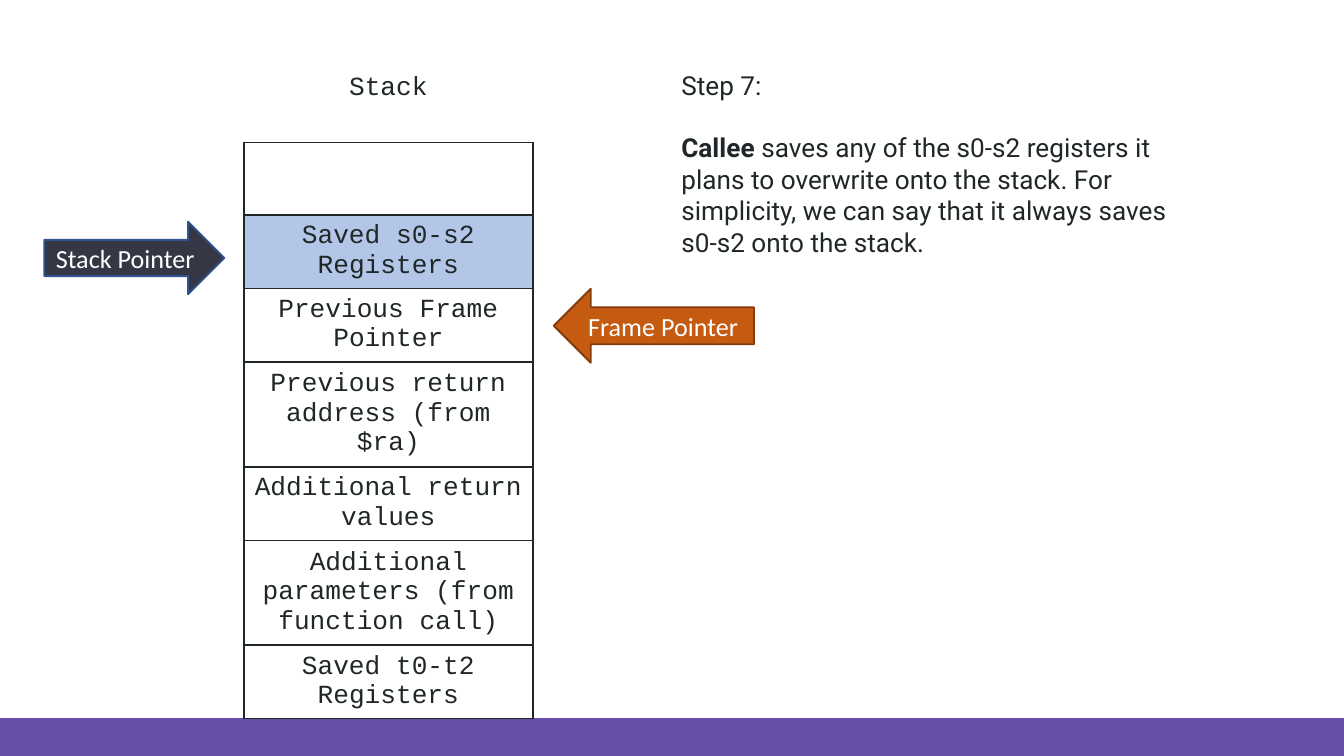
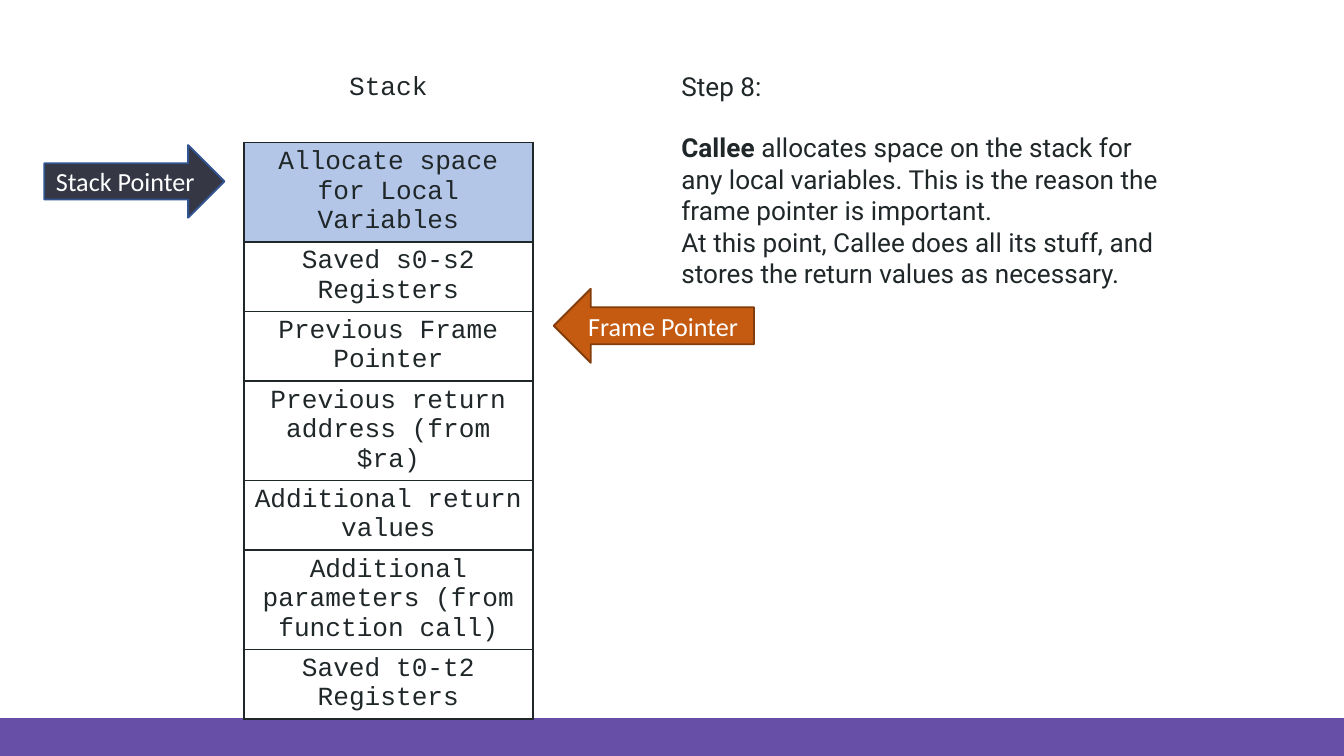
from lxml import etree
from pptx import Presentation
from pptx.dml.color import RGBColor
from pptx.enum.shapes import MSO_SHAPE
from pptx.enum.text import MSO_ANCHOR, PP_ALIGN
from pptx.oxml.ns import qn
from pptx.util import Inches, Pt

RECT, RIGHT, LEFT = MSO_SHAPE.RECTANGLE, MSO_SHAPE.RIGHT_ARROW, MSO_SHAPE.LEFT_ARROW
TOP, MID = MSO_ANCHOR.TOP, MSO_ANCHOR.MIDDLE
START, CENTER = PP_ALIGN.LEFT, PP_ALIGN.CENTER

INK = RGBColor(0x20, 0x27, 0x29)
WHITE = RGBColor(0xFF, 0xFF, 0xFF)
PURPLE = RGBColor(0x67, 0x4E, 0xA7)
BLUE = RGBColor(0xB3, 0xC6, 0xE7)
SLATE = RGBColor(0x35, 0x37, 0x44)
NAVY = RGBColor(0x31, 0x53, 0x8F)
ORANGE = RGBColor(0xC5, 0x5A, 0x11)
RUST = RGBColor(0x83, 0x3C, 0x0B)

MONO, BODY, LABEL = "Courier New", "Roboto", "Calibri"

# Grid of 100 columns by 100 rows over a 16:9 slide
WIDE = Inches(10)
HIGH = WIDE * 9 // 16
COL, ROW = WIDE / 100, HIGH / 100

HEAD = 10.31   # rows from the stack label down to the table
STEP = 10.13   # rows the stack pointer moves per entry

FRAME = [
    "Saved s0-s2 Registers",
    "Previous Frame Pointer",
    "Previous return address (from $ra)",
    "Additional return values",
    "Additional parameters (from function call)",
    "Saved t0-t2 Registers",
]

# tall is a table row's height in grid rows, inset its top and bottom margin;
# the fuller stack is set tighter so that it ends above the footer band
STEPS = [
    dict(title="Step 7:", cells=[""] + FRAME, mark=1, tall=9.6, inset=0.04,
         rows=26.5, notes=[
        [("Callee ", True),
         ("saves any of the s0-s2 registers it plans to overwrite onto the "
          "stack. For simplicity, we can say that it always saves s0-s2 onto "
          "the stack.", False)]]),
    dict(title="Step 8:", cells=["Allocate space for Local Variables"] + FRAME,
         mark=0, tall=9.2, inset=0.02, rows=30.8, notes=[
        [("Callee ", True),
         ("allocates space on the stack for any local variables. This is the "
          "reason the frame pointer is important.", False)],
        [("At this point, Callee does all its stuff, and stores the return "
          "values as necessary.", False)]]),
]


def place(x, y, w, h):
    """Turn grid columns and rows into slide lengths."""
    return [round(n) for n in (x * COL, y * ROW, w * COL, h * ROW)]


def seat(host, anchor=TOP, side=0.07, inset=0.04):
    """Set the anchor and margins of a text frame or a table cell."""
    host.vertical_anchor = anchor
    host.margin_left = host.margin_right = Inches(side)
    host.margin_top = host.margin_bottom = Inches(inset)


def write(frame, paras, font=BODY, color=INK, align=START, gap=0):
    """Fill a text frame; gap is the space after the first paragraph."""
    frame.word_wrap = True
    for i, runs in enumerate(paras):
        para = frame.paragraphs[0] if i == 0 else frame.add_paragraph()
        para.alignment = align
        if i == 1 and gap:
            para.space_before = Pt(gap)
        for text, bold in runs:
            run = para.add_run()
            run.text = text
            run.font.name, run.font.size = font, Pt(14)
            run.font.bold, run.font.color.rgb = bold, color


def shape(slide, kind, box, fill, line=None):
    part = slide.shapes.add_shape(kind, *place(*box))
    part.shadow.inherit = False
    part.fill.solid()
    part.fill.fore_color.rgb = fill
    if line is None:
        part.line.fill.background()
    else:
        part.line.color.rgb = line
        part.line.width = Pt(1)
    return part


def edge(cell):
    """Draw a thin ink border on all four sides of a cell."""
    props = cell._tc.get_or_add_tcPr()
    for i, side in enumerate(("a:lnL", "a:lnR", "a:lnT", "a:lnB")):
        line = etree.Element(qn(side), w=str(Pt(1)))
        fill = etree.SubElement(line, qn("a:solidFill"))
        etree.SubElement(fill, qn("a:srgbClr"), val=str(INK))
        props.insert(i, line)


def stack(slide, box, cells, mark, inset):
    x, y, w, h = box
    # Label above the table, two columns in from each side
    label = slide.shapes.add_textbox(*place(x + 2, y, w - 4, 5.5))
    seat(label.text_frame)
    write(label.text_frame, [[("Stack", False)]], font=MONO, align=CENTER)
    # One table row per stack entry
    grid = slide.shapes.add_table(len(cells), 1, *place(x, y + HEAD, w, h - HEAD)).table
    grid.first_row = grid.horz_banding = False
    for i, text in enumerate(cells):
        cell = grid.cell(i, 0)
        edge(cell)
        seat(cell, MID, 0.08, inset)
        if i == mark:
            cell.fill.solid()
            cell.fill.fore_color.rgb = BLUE
        else:
            cell.fill.background()
        if text:
            write(cell.text_frame, [[(text, False)]], font=MONO, align=CENTER)


def arrow(slide, box, kind, text, fill, line):
    part = shape(slide, kind, box, fill, line)
    seat(part.text_frame, MID)
    write(part.text_frame, [[(text, False)]], font=LABEL, color=WHITE, align=CENTER)


def story(slide, box, title, notes):
    area = slide.shapes.add_textbox(*place(*box))
    seat(area.text_frame)
    write(area.text_frame, [[(title, False)]] + notes, gap=16.4)


def page(deck, title, cells, mark, tall, inset, rows, notes):
    slide = deck.slides.add_slide(deck.slide_layouts[6])
    # Footer band
    shape(slide, RECT, (0, 95, 100, 5), PURPLE)
    # Stack and explanation
    stack(slide, (18.15, 8.53, 21.5, HEAD + tall * len(cells)), cells, mark, inset)
    story(slide, (50, 8.53, 38, rows), title, notes)
    # Pointers
    arrow(slide, (3.3, 19.2 + STEP * mark, 13.4, 9.6), RIGHT, "Stack Pointer", SLATE, NAVY)
    arrow(slide, (41.2, 38.2, 14.9, 9.8), LEFT, "Frame Pointer", ORANGE, RUST)


def main():
    deck = Presentation()
    deck.slide_width, deck.slide_height = WIDE, HIGH
    for step in STEPS:
        page(deck, **step)
    deck.save("out.pptx")


if __name__ == "__main__":
    main()
